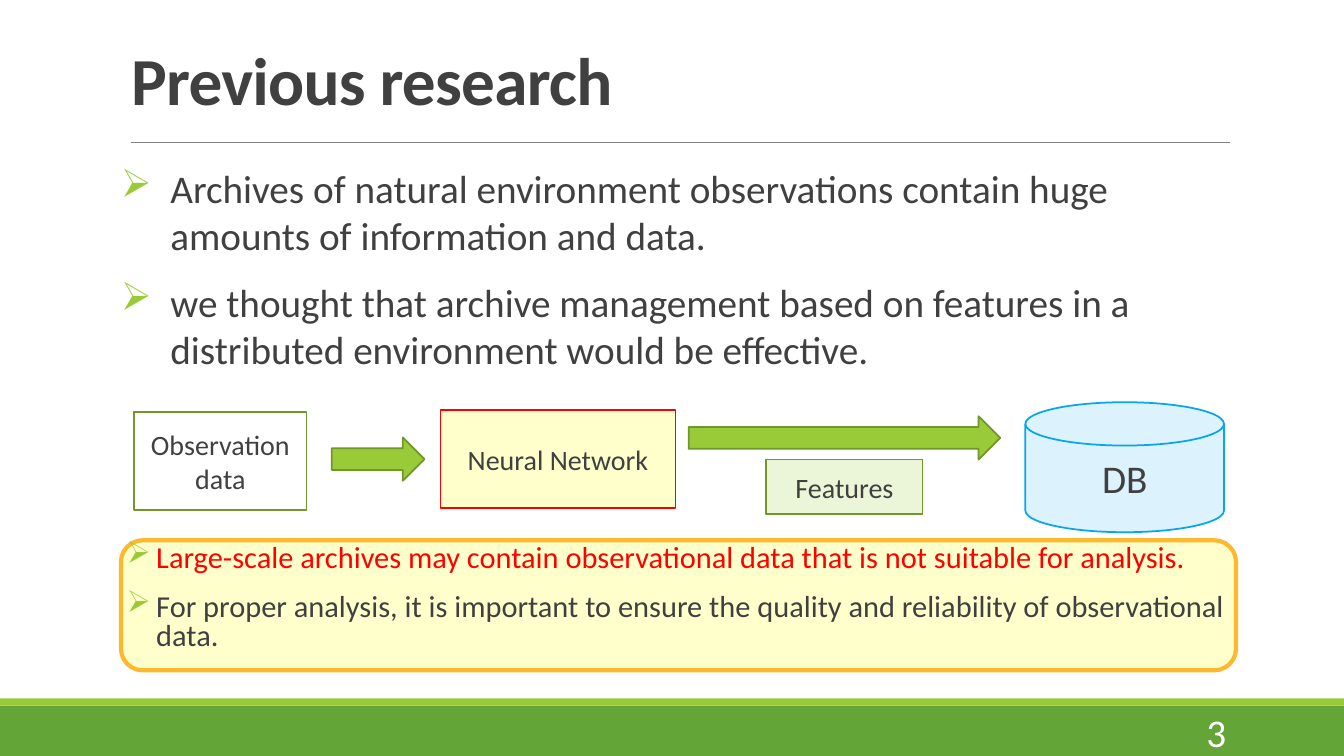
from lxml import etree
from pptx import Presentation
from pptx.dml.color import RGBColor
from pptx.enum.shapes import MSO_CONNECTOR, MSO_SHAPE
from pptx.enum.text import MSO_ANCHOR, MSO_AUTO_SIZE, PP_ALIGN
from pptx.oxml.ns import qn
from pptx.util import Inches, Pt

RECT, ROUND = MSO_SHAPE.RECTANGLE, MSO_SHAPE.ROUNDED_RECTANGLE
ARROW, DISK = MSO_SHAPE.RIGHT_ARROW, MSO_SHAPE.FLOWCHART_MAGNETIC_DISK
TOP, MIDDLE, BOTTOM = MSO_ANCHOR.TOP, MSO_ANCHOR.MIDDLE, MSO_ANCHOR.BOTTOM
LEFT, CENTER, RIGHT = PP_ALIGN.LEFT, PP_ALIGN.CENTER, PP_ALIGN.RIGHT
STRAIGHT, NO_FIT = MSO_CONNECTOR.STRAIGHT, MSO_AUTO_SIZE.NONE

FONT = "Calibri"
WIDE, HIGH = 13.33, 7.5
COLORS = {
    "text": "404040", "white": "FFFFFF", "red": "FF0000", "rule": "808080",
    "green": "63A537", "lime": "99CB38", "edge": "719629", "mint": "EBF5D7",
    "cream": "FFFFCC", "amber": "FDB82F", "sky": "DCF3FE", "blue": "08A5EF",
}


def rgb(name):
    return RGBColor.from_string(COLORS[name])


def apply(target, values):
    for name, value in values.items():
        setattr(target, name, value)


def write(par, text, size, color="text", bold=False, **form):
    """Fill a paragraph with one run; form holds paragraph attributes."""
    apply(par, form)
    run = par.add_run()
    run.text = text
    apply(run.font, {"name": FONT, "size": Pt(size), "bold": bold})
    run.font.color.rgb = rgb(color)
    return run


def add_shape(slide, kind, box, fill=None, line=None, width=1.25):
    shape = slide.shapes.add_shape(kind, *map(Inches, box))
    shape.shadow.inherit = False
    if fill:
        shape.fill.solid()
        shape.fill.fore_color.rgb = rgb(fill)
    else:
        shape.fill.background()
    if line:
        shape.line.color.rgb = rgb(line)
        shape.line.width = Pt(width)
    else:
        shape.line.fill.background()
    return shape


def add_box(slide, box, **form):
    frame = slide.shapes.add_textbox(*map(Inches, box)).text_frame
    apply(frame, {"word_wrap": True, "auto_size": NO_FIT, **form})
    return frame


def add_bullet(par, indent):
    props = par._p.get_or_add_pPr()
    props.set("marL", str(Inches(indent)))
    props.set("indent", str(-Inches(indent)))
    color = etree.SubElement(props, qn("a:buClr"))
    etree.SubElement(color, qn("a:srgbClr")).set("val", COLORS["lime"])
    etree.SubElement(props, qn("a:buChar")).set("char", "➢")


def add_list(slide, box, items, size, indent, spacing):
    """Place bulleted (text, color) items in the box."""
    frame = add_box(slide, box, margin_left=0, margin_right=0)
    for i, (text, color) in enumerate(items):
        par = frame.add_paragraph() if i else frame.paragraphs[0]
        write(par, text, size, color, alignment=LEFT, line_spacing=spacing,
              space_before=Pt(12), space_after=Pt(2))
        add_bullet(par, indent)


def add_header(slide, box):
    left, top, width, height = box
    title = slide.shapes.title
    apply(title, dict(zip(("left", "top", "width", "height"),
                          map(Inches, box))))
    frame = title.text_frame
    apply(frame, {"vertical_anchor": BOTTOM, "word_wrap": True,
                  "auto_size": NO_FIT})
    run = write(frame.paragraphs[0], "Previous research", 48, bold=True,
                alignment=LEFT, line_spacing=0.85)
    run.font._element.set("spc", "-50")
    y = Inches(top + height + 0.18)
    rule = slide.shapes.add_connector(
        STRAIGHT, Inches(left + 0.1), y, Inches(left + width), y)
    rule.line.color.rgb = rgb("rule")
    rule.line.width = Pt(0.5)
    etree.SubElement(rule._element.spPr, qn("a:effectLst"))


def add_footer(slide, box):
    left, top, width, height = box
    strip = 0.07
    add_shape(slide, RECT, (left, top + strip, width, height - strip), "green")
    add_shape(slide, RECT, (left, top, width, strip), "lime")
    frame = add_box(slide, (left + 10.83, top + 0.13, 1.43, 0.4),
                    vertical_anchor=MIDDLE)
    write(frame.paragraphs[0], "3", 28, "white", alignment=RIGHT)


def add_flow(slide, box):
    left, top = box[:2]
    parts = [
        (RECT, (0, 0.1, 1.71, 0.97), None, "edge", "Observation data", 20),
        (ARROW, (1.96, 0.35, 0.92, 0.43), "lime", "edge", "", 20),
        (RECT, (3.04, 0.08, 2.33, 0.97), "cream", "red", "Neural Network", 20),
        (RECT, (6.27, 0.57, 1.55, 0.54), "mint", "edge", "Features", 20),
        (ARROW, (5.5, 0.14, 3.09, 0.43), "lime", "edge", "", 20),
        (DISK, (8.84, 0, 1.97, 1.29), "sky", "blue", "DB", 28),
    ]
    for kind, (x, y, w, h), fill, line, text, size in parts:
        shape = add_shape(slide, kind, (left + x, top + y, w, h), fill, line)
        if text:
            frame = shape.text_frame
            apply(frame, {"vertical_anchor": MIDDLE, "word_wrap": True})
            write(frame.paragraphs[0], text, size, alignment=CENTER)


def add_callout(slide, box):
    left, top, width, height = box
    add_shape(slide, ROUND, box, "cream", "amber", 3)
    add_list(slide, (left + 0.06, top, width - 0.06, height), [
        ("Large-scale archives may contain observational data that is not "
         "suitable for analysis.", "red"),
        ("For proper analysis, it is important to ensure the quality and "
         "reliability of observational data.", "text"),
    ], 21.7, 0.29, 0.8)


def main():
    deck = Presentation()
    deck.slide_width, deck.slide_height = Inches(WIDE), Inches(HIGH)
    slide = deck.slides.add_slide(deck.slide_layouts[5])
    add_footer(slide, (0, 6.93, WIDE, HIGH - 6.93))
    add_header(slide, (1.2, 0.31, 11, 0.92))
    add_list(slide, (1.2, 1.58, 11, 2.2), [
        ("Archives of natural environment observations contain huge amounts "
         "of information and data.", "text"),
        ("we thought that archive management based on features in a "
         "distributed environment would be effective.", "text"),
    ], 28, 0.49, 1.0)
    add_callout(slide, (1.2, 5.36, 11.06, 1.29))
    add_flow(slide, (1.33, 3.99, 10.81, 1.29))
    deck.save("out.pptx")


if __name__ == "__main__":
    main()
